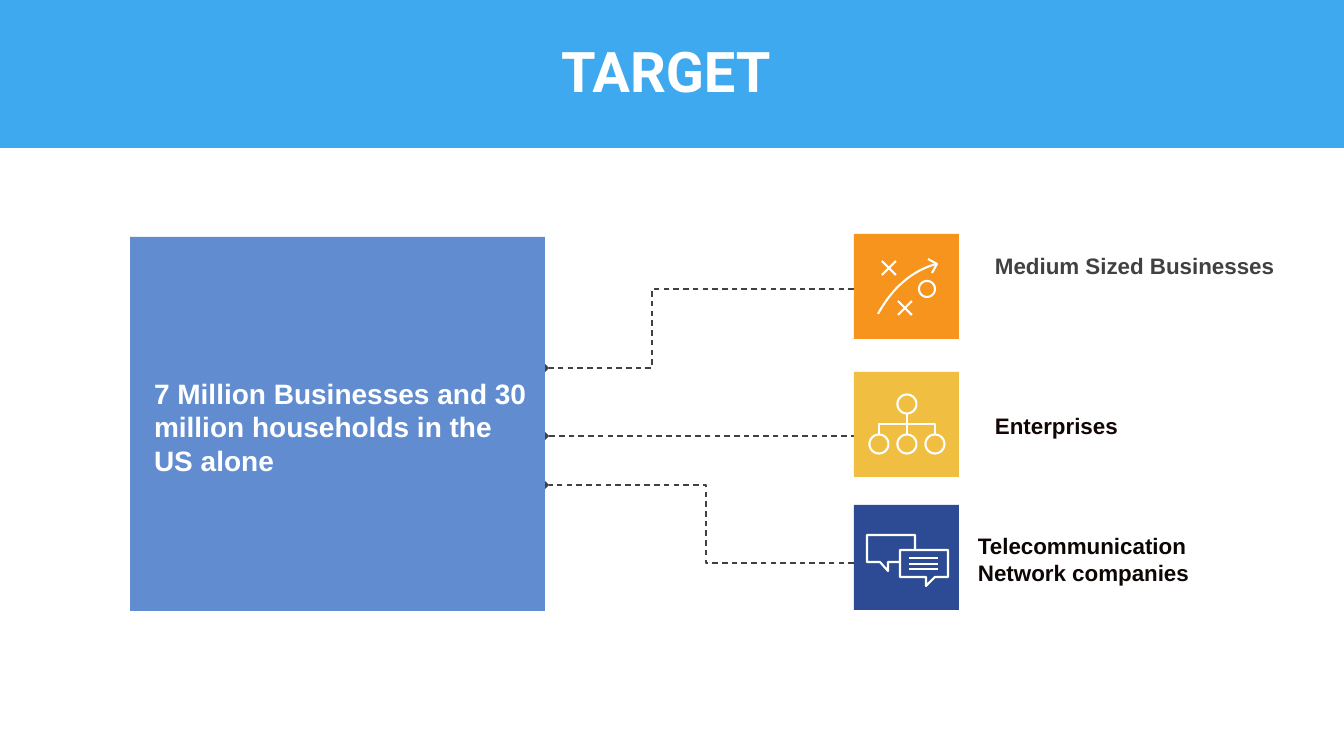
from dataclasses import dataclass
from math import cos, pi, sin

from lxml.etree import SubElement
from pptx import Presentation
from pptx.dml.color import RGBColor
from pptx.enum.dml import MSO_LINE_DASH_STYLE as Dash
from pptx.enum.shapes import MSO_CONNECTOR as Connector, MSO_SHAPE as Shape
from pptx.enum.text import MSO_ANCHOR as Anchor, MSO_AUTO_SIZE as AutoSize, PP_ALIGN as Align
from pptx.oxml.ns import qn
from pptx.util import Emu, Pt

EMU_PER_PX = 914400 / 100.8
INSET = 5
TILE_LEFT, TILE_SIZE = 854, 105
BOX_LEFT, BOX_TOP, BOX_WIDTH, BOX_HEIGHT = 130, 237, 415, 374
BOX_RIGHT = BOX_LEFT + BOX_WIDTH
WHITE, GREY = "FFFFFF", "414042"

Point = tuple[float, float]
Stroke = list[Point]


@dataclass(frozen=True)
class Target:
    label: str
    label_at: tuple[int, int]
    label_height: int
    label_color: str
    tile_top: int
    tile_color: str
    link: Stroke
    icon: list[Stroke]


def px(length: float) -> Emu:
    return Emu(round(length * EMU_PER_PX))


def rgb(color: str) -> RGBColor:
    return RGBColor.from_string(color)


def cubic(start: Point, first: Point, second: Point, end: Point, steps: int = 24) -> Stroke:
    points = []
    for step in range(steps + 1):
        t = step / steps
        weights = ((1 - t) ** 3, 3 * t * (1 - t) ** 2, 3 * t * t * (1 - t), t ** 3)
        controls = (start, first, second, end)
        points.append(tuple(sum(w * c[axis] for w, c in zip(weights, controls)) for axis in (0, 1)))
    return points


def ring(x: int, y: int, diameter: int, steps: int = 48) -> Stroke:
    radius = diameter / 2
    angles = [2 * pi * step / steps for step in range(steps + 1)]
    return [(x + radius * cos(angle), y + radius * sin(angle)) for angle in angles]


def cross(x: int, y: int, arm: int = 7) -> list[Stroke]:
    return [[(x - arm, y - arm), (x + arm, y + arm)], [(x - arm, y + arm), (x + arm, y - arm)]]


def set_text(shape, text: str, *, size: int, color: str, font: str = "Arial",
             align: Align = Align.LEFT, anchor: Anchor = Anchor.TOP,
             spacing: float = 1.0) -> None:
    frame = shape.text_frame
    frame.word_wrap = True
    frame.auto_size = AutoSize.NONE
    frame.vertical_anchor = anchor
    frame.margin_left = frame.margin_top = frame.margin_right = frame.margin_bottom = px(INSET)
    paragraph = frame.paragraphs[0]
    paragraph.alignment = align
    paragraph.line_spacing = spacing
    run = paragraph.add_run()
    run.text = text
    run.font.name = font
    run.font.size = Pt(size)
    run.font.bold = True
    run.font.color.rgb = rgb(color)


def add_label(slide, text: str, left: int, top: int, width: int, height: int,
              *, size: int, color: str) -> None:
    box = slide.shapes.add_textbox(px(left), px(top), px(width), px(height))
    set_text(box, text, size=size, color=color)


def add_rectangle(slide, left: int, top: int, width: int, height: int, color: str) -> None:
    shape = slide.shapes.add_shape(Shape.RECTANGLE, px(left), px(top), px(width), px(height))
    shape.shadow.inherit = False
    shape.fill.solid()
    shape.fill.fore_color.rgb = rgb(color)
    shape.line.fill.background()


def add_outline(slide, strokes: list[Stroke], *, color: str, width: float):
    contours = [[(px(x), px(y)) for x, y in stroke] for stroke in strokes]
    builder = slide.shapes.build_freeform(*contours[0][0], scale=1.0)
    for index, contour in enumerate(contours):
        if index:
            builder.move_to(*contour[0])
        builder.add_line_segments(contour[1:], close=contour[0] == contour[-1])
    shape = builder.convert_to_shape()
    shape.shadow.inherit = False
    shape.fill.background()
    shape.line.color.rgb = rgb(color)
    shape.line.width = Pt(width)
    return shape


def add_link(slide, points: Stroke) -> None:
    if len(points) == 2:
        (start_x, start_y), (end_x, end_y) = points
        shape = slide.shapes.add_connector(Connector.STRAIGHT, px(start_x), px(start_y),
                                           px(end_x), px(end_y))
        SubElement(shape.element.spPr, qn("a:effectLst"))
        shape.line.color.rgb = rgb(GREY)
        shape.line.width = Pt(1)
    else:
        shape = add_outline(slide, [points], color=GREY, width=1)
    shape.line.dash_style = Dash.DASH
    SubElement(shape.element.spPr.find(qn("a:ln")), qn("a:tailEnd"), type="diamond")


TARGETS = [
    Target(
        "Medium Sized Businesses", (990, 247), 59, GREY, 234, "F7941D",
        [(TILE_LEFT, 289), (652, 289), (652, 368), (BOX_RIGHT, 368)],
        [cubic((878, 314), (888, 296), (905, 273), (936, 264)),
         [(928, 259), (937, 264), (932, 273)], *cross(889, 268), *cross(905, 308),
         ring(927, 289, 16)],
    ),
    Target(
        "Enterprises", (990, 407), 34, "130605", 372, "F0BE41",
        [(866, 436), (BOX_RIGHT, 436)],
        [[(879, 434), (879, 424), (935, 424), (935, 434)], [(907, 414), (907, 434)],
         ring(907, 404, 19), *(ring(x, 444, 19) for x in (879, 907, 935))],
    ),
    Target(
        "Telecommunication Network companies", (973, 527), 59, "0C0704", 505, "2C4B94",
        [(TILE_LEFT, 563), (706, 563), (706, 485), (BOX_RIGHT, 485)],
        [[(915, 549), (915, 535), (867, 535), (867, 562), (880, 562), (888, 571),
          (888, 562), (899, 562)],
         [(900, 550), (948, 550), (948, 577), (935, 577), (926, 586), (926, 577),
          (900, 577), (900, 550)],
         *([(909, y), (938, y)] for y in (558, 564, 569))],
    ),
]


def main() -> None:
    presentation = Presentation()
    presentation.slide_width, presentation.slide_height = px(1344), px(756)
    slide = presentation.slides.add_slide(presentation.slide_layouts[5])

    title = slide.shapes.title
    title.left, title.top, title.width, title.height = px(0), px(0), px(1344), px(148)
    title.fill.solid()
    title.fill.fore_color.rgb = rgb("3FA9EF")
    set_text(title, "TARGET ", size=40, color=WHITE, font="Roboto",
             align=Align.CENTER, anchor=Anchor.MIDDLE, spacing=0.9)

    for target in TARGETS:
        add_link(slide, target.link)
    for target in TARGETS:
        add_label(slide, target.label, *target.label_at, 292, target.label_height,
                  size=16, color=target.label_color)
        add_rectangle(slide, TILE_LEFT, target.tile_top, TILE_SIZE, TILE_SIZE, target.tile_color)
        add_outline(slide, target.icon, color=WHITE, width=1.5)

    add_rectangle(slide, BOX_LEFT, BOX_TOP, BOX_WIDTH, BOX_HEIGHT, "618DD0")
    add_label(slide, "7 Million Businesses and 30 million households in the US alone",
              149, 371, 388, 106, size=20, color=WHITE)
    presentation.save("out.pptx")


if __name__ == "__main__":
    main()
